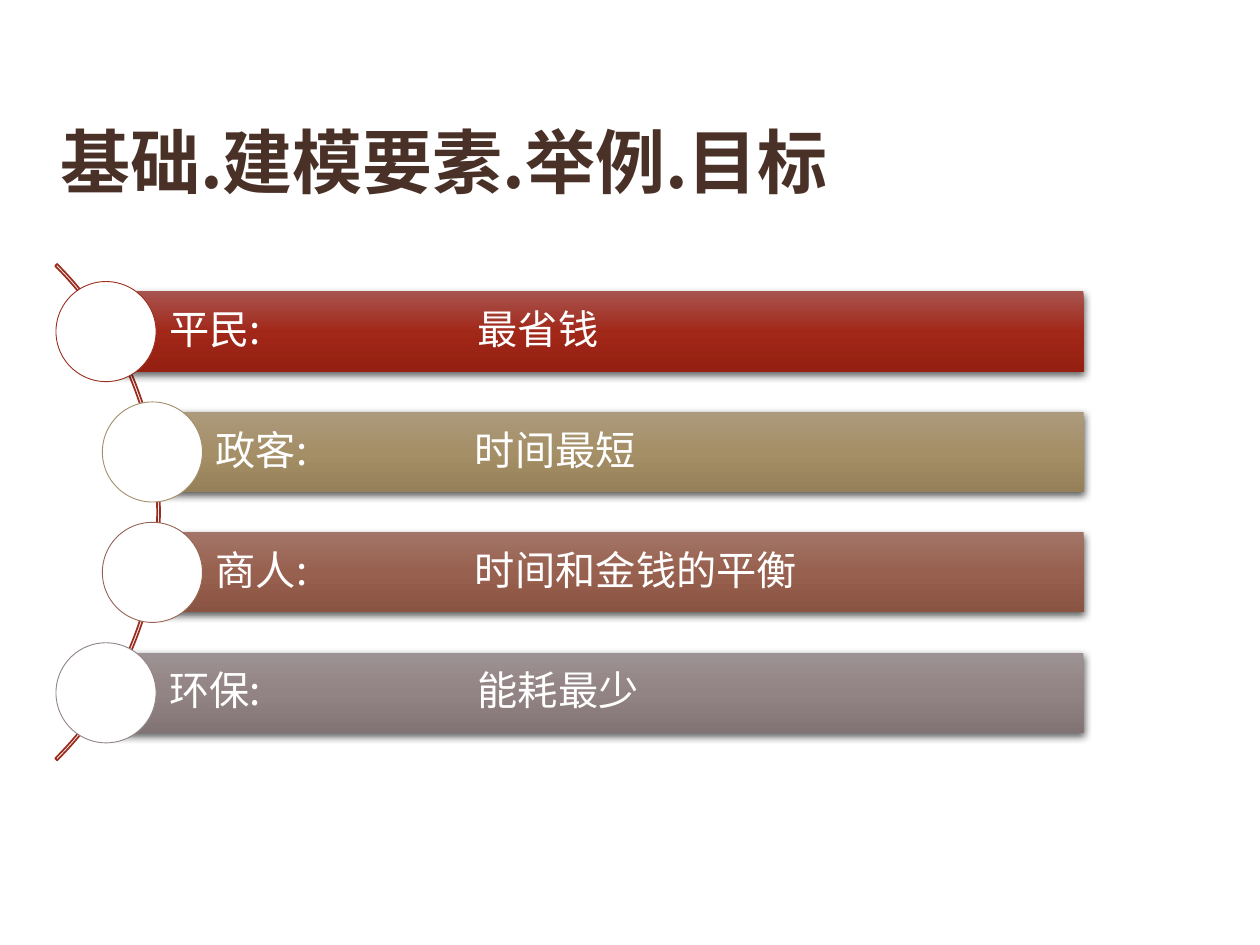
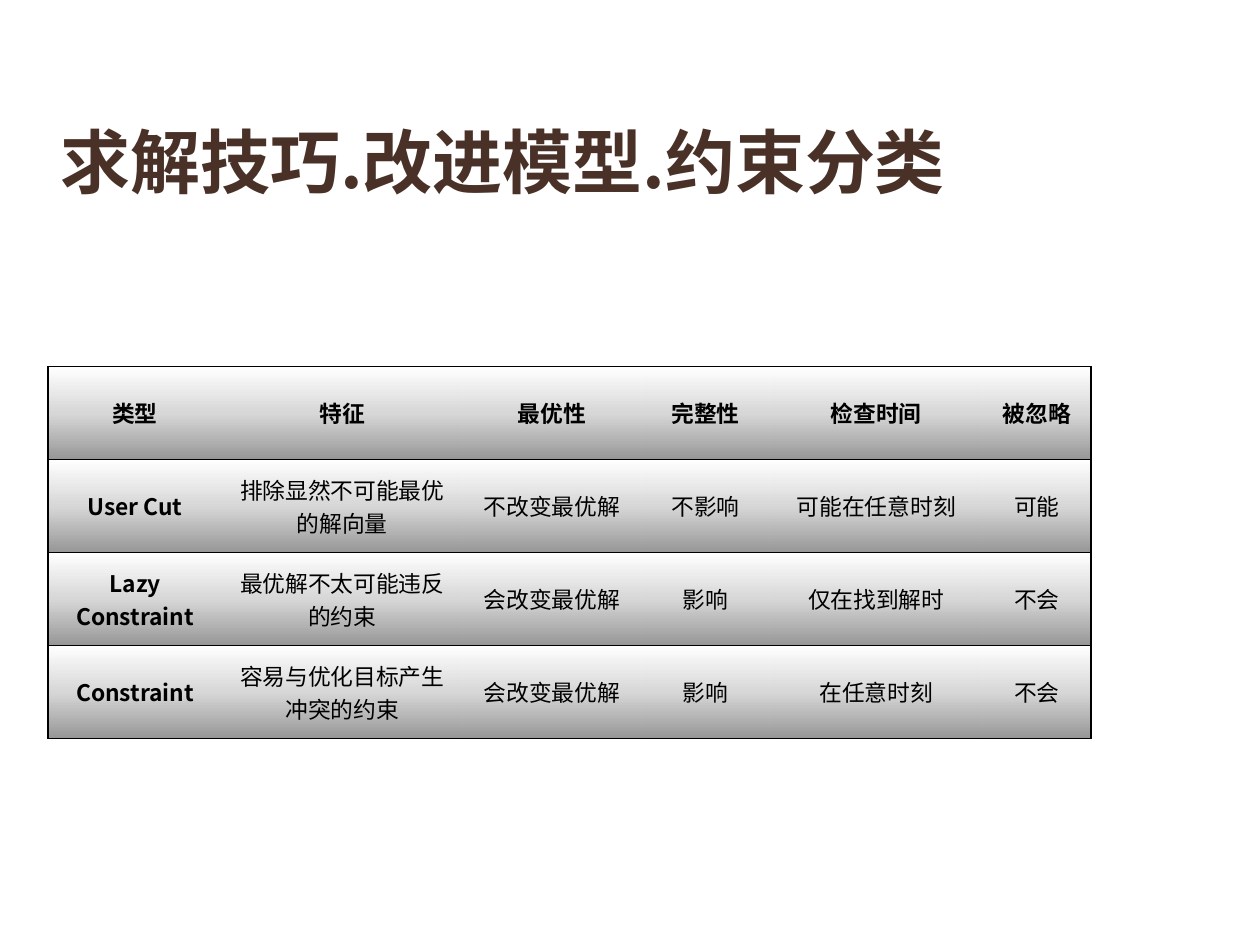
from copy import deepcopy

from lxml import etree
from pptx import Presentation
from pptx import util as u
from pptx.dml.color import RGBColor
from pptx.enum import shapes, text
from pptx.oxml.ns import qn

FONT = "Noto Sans CJK SC"
HUES = {
    "title": "4A3128", "white": "FFFFFF", "black": "000000", "arc": "9B2D1F",
    "red": ("A8544F", "A12819", "951F11"),
    "sand": ("AC9A7C", "A58F67", "968059"),
    "brown": ("A27568", "98604E", "8A5442"),
    "mauve": ("9D9293", "928384", "827475"),
    "grey": ("FFFFFF", "D7D7D7", "979797"),
}
RIMS = {"red": "9B2D1F", "sand": "A28E6A", "brown": "956251", "mauve": "918485"}
TITLE = (27.4, 50.4, 596, 90.7)
GOALS = [
    ("平民", "最省钱", "red", 0),
    ("政客", "时间最短", "sand", 1),
    ("商人", "时间和金钱的平衡", "brown", 1),
    ("环保", "能耗最少", "mauve", 0),
]
COLS = (99.4, 137.5, 102.2, 73.4, 121.7, 61.9)
ROWS = [
    ("类型", "特征", "最优性", "完整性", "检查时间", "被忽略"),
    ("User Cut", "排除显然不可能最优的解向量", "不改变最优解", "不影响", "可能在任意时刻", "可能"),
    ("Lazy Constraint", "最优解不太可能违反的约束", "会改变最优解", "影响", "仅在找到解时", "不会"),
    ("Constraint", "容易与优化目标产生冲突的约束", "会改变最优解", "影响", "在任意时刻", "不会"),
]


def rgb(code):
    """Turn a hex string into a colour."""
    return RGBColor.from_string(code)


def pts(*nums):
    """Turn numbers into point lengths."""
    return [u.Pt(n) for n in nums]


def node(host, tag, **attrs):
    """Append a drawing element to its host."""
    return etree.SubElement(host, qn(tag), {k: str(v) for k, v in attrs.items()})


def write(para, words, size, hue, bold=False):
    """Fill a paragraph with words in the shared font."""
    para.text = words
    font = para.font
    font.size, font.bold, font.name = u.Pt(size), bold, FONT
    font.color.rgb = rgb(HUES[hue])
    node(para._p.pPr.find(qn("a:defRPr")), "a:ea", typeface=FONT)


def shade(fill, host, hues):
    """Give a fill three stops running from top to bottom."""
    fill.gradient()
    fill.gradient_angle = 270
    stops = host.find(".//" + qn("a:gsLst"))
    stops.insert(1, deepcopy(stops[0]))
    for stop, place, hue in zip(fill.gradient_stops, (0, 0.5, 1), hues):
        stop.position = place
        stop.color.rgb = rgb(hue)


def drop(shape):
    """Cast a soft shadow below a shape."""
    cast = node(shape._element.spPr.find(qn("a:effectLst")), "a:outerShdw",
                blurRad=u.Pt(4.5), dist=u.Pt(1.5), dir=5400000, rotWithShape=0)
    node(node(cast, "a:srgbClr", val=HUES["black"]), "a:alpha", val=63000)


def form(slide, kind, box, rim=None, width=0.5):
    """Add a plain preset shape with an optional outline."""
    shape = slide.shapes.add_shape(kind, *pts(*box))
    shape.shadow.inherit = False
    if rim:
        shape.line.color.rgb = rgb(rim)
        shape.line.width = u.Pt(width)
    else:
        shape.line.fill.background()
    return shape


def head(slide, words, box):
    """Write the slide title."""
    frame = slide.shapes.add_textbox(*pts(*box)).text_frame
    frame.word_wrap = True
    frame.vertical_anchor = text.MSO_ANCHOR.MIDDLE
    para = frame.paragraphs[0]
    para.line_spacing = u.Pt(40)
    write(para, words, 40, "title", True)


def bar(slide, box, who, aim, hue, tab):
    """Draw one goal bar with a disc on its left edge."""
    left, top, _, high = box
    band = form(slide, shapes.MSO_SHAPE.RECTANGLE, box)
    shade(band.fill, band._element, HUES[hue])
    drop(band)
    frame = band.text_frame
    frame.word_wrap = True
    frame.vertical_anchor = text.MSO_ANCHOR.MIDDLE
    frame.margin_left = u.Pt(36)
    frame.margin_right = frame.margin_top = frame.margin_bottom = u.Pt(4.3)
    para = frame.paragraphs[0]
    para.alignment = text.PP_ALIGN.LEFT
    para.line_spacing = 0.9
    para.space_after = u.Pt(8)
    write(para, f"{who}:\t{aim}", 23, "white")
    tabs = etree.Element(qn("a:tabLst"))
    node(tabs, "a:tab", pos=u.Pt(tab), algn="l")
    para._p.pPr.find(qn("a:defRPr")).addprevious(tabs)
    size = 57.2
    disc = form(slide, shapes.MSO_SHAPE.OVAL,
                (left - size / 2, top + (high - size) / 2, size, size), RIMS[hue])
    disc.fill.solid()
    disc.fill.fore_color.rgb = rgb(HUES["white"])


def goals(slide, box):
    """Place the arc and the goal bars along it."""
    left, top, wide, high = box
    size, thick = 401, 45.8
    step = (high - thick) / (len(GOALS) - 1)
    arc = form(slide, shapes.MSO_SHAPE.BLOCK_ARC,
               (left - 370.2, top + (high - size) / 2, size, size), HUES["arc"], 1)
    arc.fill.background()
    for i, val in enumerate((189, 27, 0.0039)):
        arc.adjustments[i] = val
    for i, (who, aim, hue, level) in enumerate(GOALS):
        shift = 26.5 * level
        bar(slide, (left + shift, top + i * step, wide - shift, thick),
            who, aim, hue, 148.3 if level else 176.4)


def edge(cell, sides):
    """Rule the named sides of a cell in black."""
    props = cell._tc.get_or_add_tcPr()
    for i, side in enumerate(sides):
        line = etree.Element(qn("a:ln" + side), w=str(u.Pt(1)))
        node(node(line, "a:solidFill"), "a:srgbClr", val=HUES["black"])
        props.insert(i, line)


def grid(slide, box):
    """Build the table of constraint types."""
    table = slide.shapes.add_table(len(ROWS), len(COLS), *pts(*box)).table
    table.first_row = table.horz_banding = False
    style = table._tbl.tblPr.find(qn("a:tableStyleId"))
    style.text = "{2D5ABB26-0587-4C30-8999-92F81FD0307C}"
    for col, wide in zip(table.columns, COLS):
        col.width = u.Pt(wide)
    for r, row in enumerate(ROWS):
        table.rows[r].height = u.Pt(box[3] / len(ROWS))
        for c, words in enumerate(row):
            cell = table.cell(r, c)
            cell.vertical_anchor = text.MSO_ANCHOR.MIDDLE
            cell.margin_left = cell.margin_right = u.Pt(6.8)
            cell.margin_top = cell.margin_bottom = u.Pt(3.2)
            para = cell.text_frame.paragraphs[0]
            para.alignment = text.PP_ALIGN.CENTER
            write(para, words, 13, "black", r == 0 or c == 0)
            shade(cell.fill, cell._tc, HUES["grey"])
            sides = "L" * (c == 0) + "R" * (c == len(COLS) - 1) + "TB"
            edge(cell, sides)


def main():
    """Build both slides and save them."""
    deck = Presentation()
    deck.slide_width, deck.slide_height = pts(720, 540)
    plan = [
        ("基础.建模要素.举例.目标", goals, (60.6, 166.6, 558.6, 252.2)),
        ("求解技巧.改进模型.约束分类", grid, (27.4, 209.5, 596.1, 212.4)),
    ]
    for words, draw, box in plan:
        slide = deck.slides.add_slide(deck.slide_layouts[6])
        head(slide, words, TITLE)
        draw(slide, box)
    deck.save("out.pptx")


if __name__ == "__main__":
    main()
